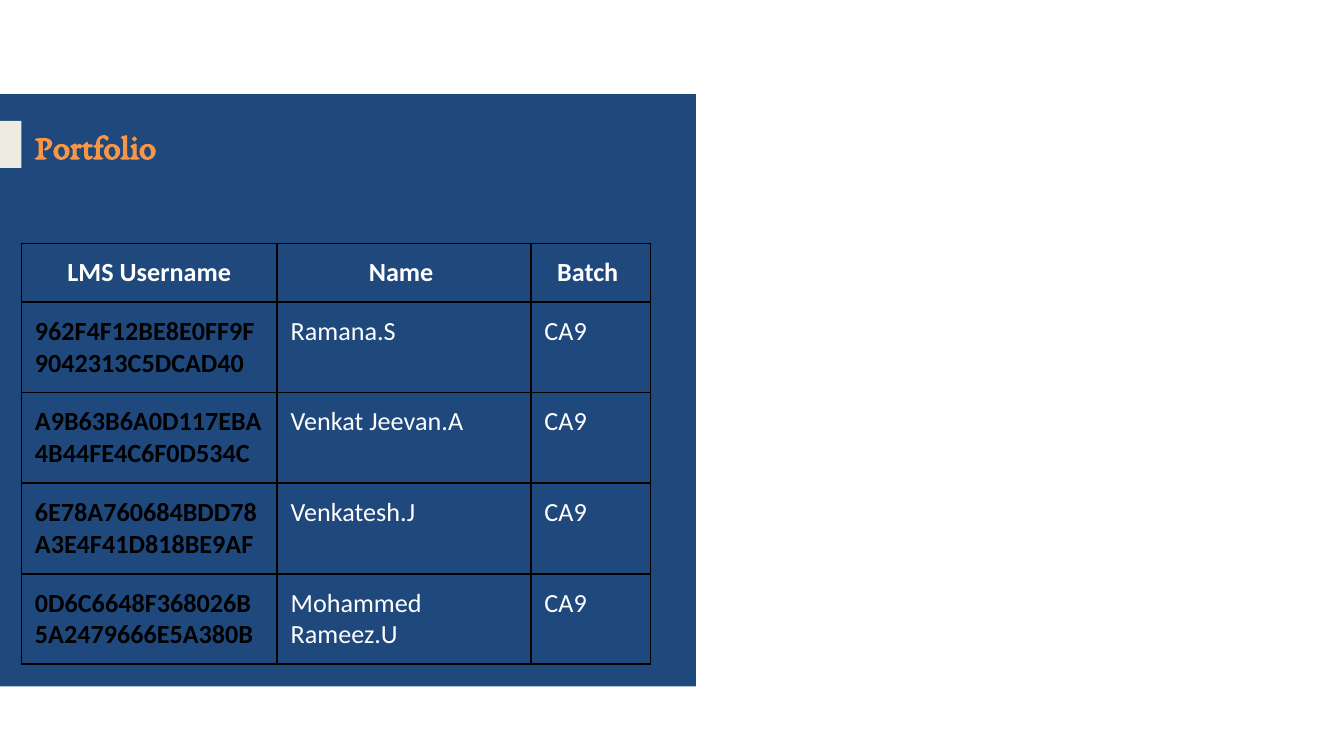
"""Build the portfolio slide: a dark panel with a title and a table of learners."""
from dataclasses import dataclass

from lxml.etree import SubElement
from pptx import Presentation
from pptx.dml.color import RGBColor
from pptx.enum.shapes import MSO_SHAPE
from pptx.enum.text import MSO_ANCHOR, PP_ALIGN
from pptx.oxml.ns import qn
from pptx.util import Pt

HEADING = "Portfolio"
HEADERS = ("LMS Username", "Name ", "Batch ")
LEARNERS = [
    ("962F4F12BE8E0FF9F9042313C5DCAD40", "Ramana.S", "CA9"),
    ("A9B63B6A0D117EBA4B44FE4C6F0D534C", "Venkat Jeevan.A", "CA9"),
    ("6E78A760684BDD78A3E4F41D818BE9AF", "Venkatesh.J", "CA9"),
    ("0D6C6648F368026B5A2479666E5A380B", "Mohammed Rameez.U", "CA9"),
]
COLUMN_WIDTHS = (137, 136, 64)
HEADER_HEIGHT, LEARNER_HEIGHT = 31.3, 48.4


@dataclass(frozen=True)
class Theme:
    panel: str = "1F497D"
    tab: str = "EEECE1"
    heading: str = "F79646"
    light: str = "FFFFFF"
    dark: str = "000000"
    heading_font: str = "EB Garamond"
    body_font: str = "Calibri"
    heading_size: float = 18.3
    body_size: float = 14
    inset: float = 7.2
    border: float = 1


THEME = Theme()


def add_block(slide, left, top, width, height, color):
    block = slide.shapes.add_shape(
        MSO_SHAPE.RECTANGLE, Pt(left), Pt(top), Pt(width), Pt(height))
    block.fill.solid()
    block.fill.fore_color.rgb = RGBColor.from_string(color)
    block.line.fill.background()
    block.shadow.inherit = False


def style_text(paragraph, font, size, color, bold, align=PP_ALIGN.LEFT):
    paragraph.alignment = align
    for run in paragraph.runs:
        run.font.name = font
        run.font.size = Pt(size)
        run.font.bold = bold
        run.font.color.rgb = RGBColor.from_string(color)


def set_heading(slide):
    heading = slide.shapes.title
    heading.left, heading.top, heading.width, heading.height = (
        Pt(11.5), Pt(64.2), Pt(269.3), Pt(27.4))
    frame = heading.text_frame
    frame.text = HEADING
    frame.vertical_anchor = MSO_ANCHOR.MIDDLE
    frame.margin_left = frame.margin_right = Pt(THEME.inset)
    frame.margin_top = frame.margin_bottom = Pt(THEME.inset / 2)
    style_text(frame.paragraphs[0], THEME.heading_font, THEME.heading_size,
               THEME.heading, True)
    slide.shapes._spTree.append(heading._element)


def add_borders(cell):
    properties = cell._tc.get_or_add_tcPr()
    for side in ("lnL", "lnR", "lnT", "lnB"):
        line = SubElement(properties, qn(f"a:{side}"), w=str(Pt(THEME.border)))
        fill = SubElement(line, qn("a:solidFill"))
        SubElement(fill, qn("a:srgbClr"), val=THEME.dark)


def add_learners(slide):
    rows = [HEADERS, *LEARNERS]
    heights = [HEADER_HEIGHT] + [LEARNER_HEIGHT] * len(LEARNERS)
    table = slide.shapes.add_table(
        len(rows), len(HEADERS), Pt(11.5), Pt(130.4),
        Pt(sum(COLUMN_WIDTHS)), Pt(sum(heights))).table
    table.horz_banding = False
    for column, width in zip(table.columns, COLUMN_WIDTHS):
        column.width = Pt(width)
    for r, (values, height) in enumerate(zip(rows, heights)):
        table.rows[r].height = Pt(height)
        for c, value in enumerate(values):
            cell = table.cell(r, c)
            cell.text_frame.text = value
            cell.margin_left = cell.margin_right = Pt(THEME.inset)
            cell.margin_top = cell.margin_bottom = Pt(THEME.inset)
            add_borders(cell)
            cell.fill.background()
            is_header, is_username = r == 0, c == 0
            style_text(
                cell.text_frame.paragraphs[0], THEME.body_font, THEME.body_size,
                THEME.dark if is_username and not is_header else THEME.light,
                is_header or is_username,
                PP_ALIGN.CENTER if is_header else PP_ALIGN.LEFT)


def main():
    deck = Presentation()
    deck.slide_width, deck.slide_height = Pt(720), Pt(405)
    slide = deck.slides.add_slide(deck.slide_layouts[5])
    add_block(slide, 0, 50.4, 372.8, 317.3, THEME.panel)
    add_block(slide, 0, 64.8, 11.5, 25.2, THEME.tab)
    set_heading(slide)
    add_learners(slide)
    deck.save("out.pptx")


if __name__ == "__main__":
    main()
